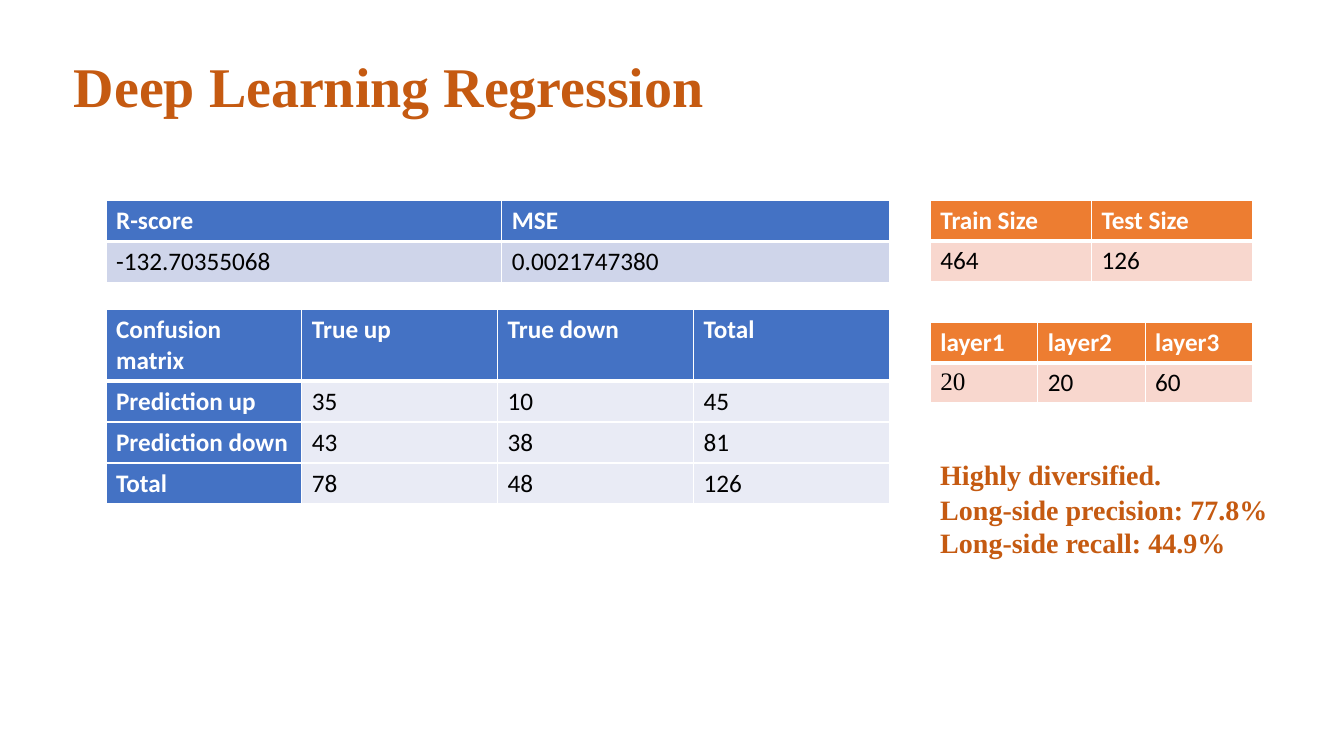
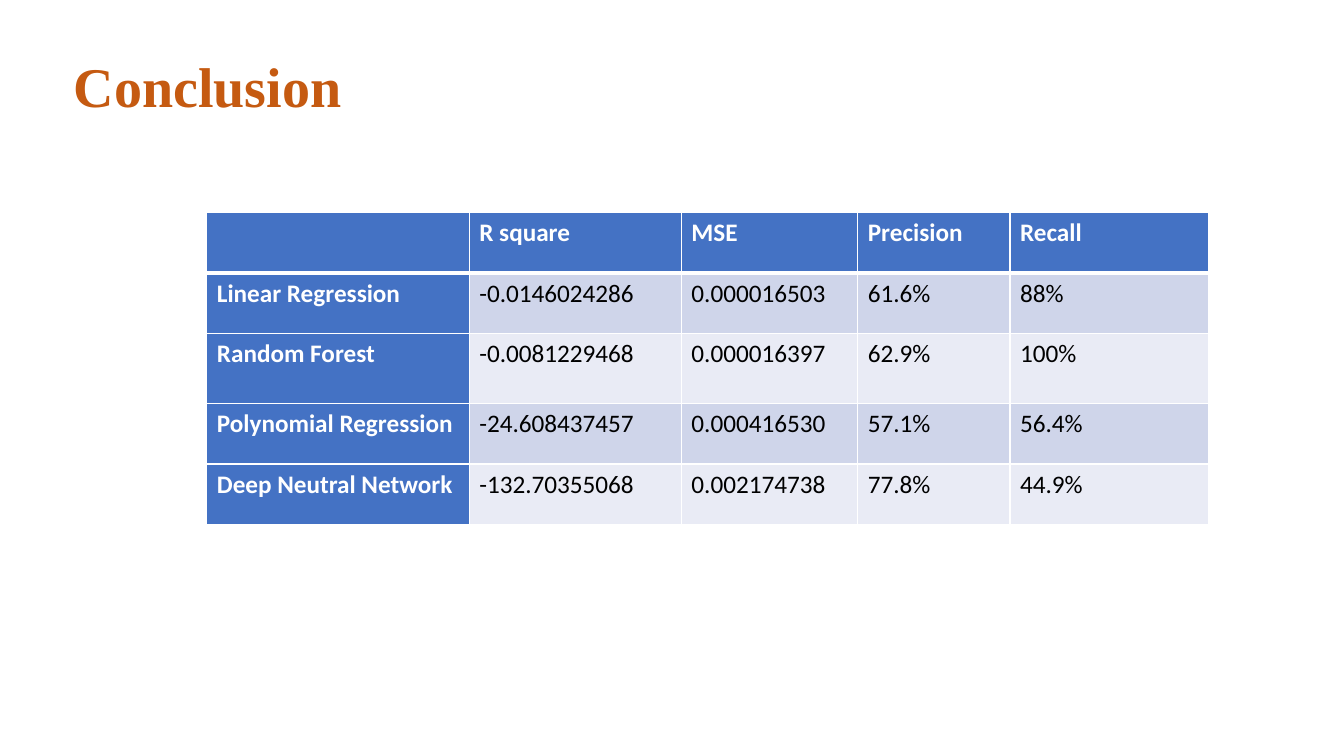
from itertools import cycle

from lxml.etree import SubElement
from pptx import Presentation
from pptx.dml.color import RGBColor
from pptx.enum.text import MSO_ANCHOR, MSO_AUTO_SIZE
from pptx.oxml.ns import qn
from pptx.util import Pt

PX = 9525  # EMU per pixel, 96 pixels to the inch

BLUE, ORANGE, RUST = "4472C4", "ED7D31", "C55A11"
BLUE_BAND, BLUE_PALE, ORANGE_BAND = "CFD5EA", "E9EBF5", "F8D7CE"
WHITE, BLACK = "FFFFFF", "000000"
SANS, SERIF = "Calibri", "Times New Roman"


def px(length):
    return round(length * PX)


def rgb(value):
    return RGBColor.from_string(value)


class SlideBuilder:
    """Holds the shared style and the slide being filled."""

    title_format = {"name": SERIF, "size": Pt(40), "bold": True}
    note_format = {"name": SERIF, "size": Pt(20), "bold": True}
    header_format = {"name": SANS, "size": Pt(18), "bold": True}
    value_format = {"name": SANS, "size": Pt(18), "bold": False}

    def __init__(self):
        self.deck = Presentation()
        self.deck.slide_width, self.deck.slide_height = px(1280), px(720)
        self.page = None

    def new_page(self, title):
        self.page = self.deck.slides.add_slide(self.deck.slide_layouts[6])
        self.text(61, 44, 1027, 74, [title], self.title_format)

    def add_span(self, para, text, formats, color):
        span = para.add_run()
        span.text = text
        for name, value in formats.items():
            setattr(span.font, name, value)
        span.font.color.rgb = rgb(color)

    def text(self, left, top, width, height, lines, formats):
        box = self.page.shapes.add_textbox(px(left), px(top), px(width), px(height))
        frame = box.text_frame
        frame.word_wrap = True
        frame.auto_size = MSO_AUTO_SIZE.SHAPE_TO_FIT_TEXT
        for index, line in enumerate(lines):
            para = frame.add_paragraph() if index else frame.paragraphs[0]
            self.add_span(para, line, formats, RUST)

    def borders(self, cell, top, bottom):
        properties = cell._tc.get_or_add_tcPr()
        for side, points in {"L": 1, "R": 1, "T": top, "B": bottom}.items():
            line = SubElement(properties, qn(f"a:ln{side}"), w=str(Pt(points)))
            fill = SubElement(line, qn("a:solidFill"))
            SubElement(fill, qn("a:srgbClr"), val=WHITE)

    def table(self, left, top, columns, heights, rows, head, bands,
              row_heads=False, fonts=None):
        """Header row, banded body; fonts maps (row, column) to a font name."""
        fonts = fonts or {}
        frame = self.page.shapes.add_table(
            len(rows), len(columns), px(left), px(top),
            px(sum(columns)), px(sum(heights)))
        grid = frame.table
        grid.horz_banding = False
        for column, width in zip(grid.columns, columns):
            column.width = px(width)
        band = cycle(bands)
        for r, (values, height) in enumerate(zip(rows, heights)):
            grid.rows[r].height = px(height)
            body_fill = next(band) if r else head
            for c, value in enumerate(values):
                is_head = r == 0 or (row_heads and c == 0)
                cell = grid.cell(r, c)
                cell.vertical_anchor = MSO_ANCHOR.TOP
                # The rule under the header row is heavier
                self.borders(cell, 3 if r == 1 else 1, 3 if r == 0 else 1)
                cell.fill.solid()
                cell.fill.fore_color.rgb = rgb(head if is_head else body_fill)
                if value:
                    formats = dict(self.header_format if is_head else self.value_format)
                    formats["name"] = fonts.get((r, c), SANS)
                    self.add_span(cell.text_frame.paragraphs[0], value, formats,
                                  WHITE if is_head else BLACK)


def regression_page(builder):
    builder.new_page("Deep Learning Regression")

    # Scores and confusion matrix
    builder.table(101, 191, [377, 369], [39] * 2, [
        ["R-score", "MSE"],
        ["-132.70355068", "0.0021747380"],
    ], BLUE, [BLUE_BAND])
    builder.table(101, 295, [746 / 4] * 4, [68] + [39] * 3, [
        ["Confusion matrix", "True up", "True down", "Total"],
        ["Prediction up", "35", "10", "45"],
        ["Prediction down", "43", "38", "81"],
        ["Total", "78", "48", "126"],
    ], BLUE, [BLUE_PALE], row_heads=True)

    # Sample sizes and network layers
    builder.table(886, 191, [307 / 2] * 2, [38] * 2, [
        ["Train Size", "Test Size"],
        ["464", "126"],
    ], ORANGE, [ORANGE_BAND])
    builder.table(886, 307, [307 / 3] * 3, [38] * 2, [
        ["layer1", "layer2", "layer3"],
        ["20", "20", "60"],
    ], ORANGE, [ORANGE_BAND], fonts={(1, 0): SERIF})

    # Findings
    builder.text(886, 431, 394, 42, ["Highly diversified."], builder.note_format)
    builder.text(886, 464, 394, 74, [
        "Long-side precision: 77.8%",
        "Long-side recall: 44.9%",
    ], builder.note_format)


def conclusion_page(builder):
    builder.new_page("Conclusion")

    # Model comparison
    builder.table(197, 202, [250, 202, 168, 145, 189], [58, 58, 66, 58, 58], [
        ["", "R square", "MSE", "Precision", "Recall"],
        ["Linear Regression", "-0.0146024286", "0.000016503", "61.6%", "88%"],
        ["Random Forest", "-0.0081229468", "0.000016397", "62.9%", "100%"],
        ["Polynomial Regression", "-24.608437457", "0.000416530", "57.1%", "56.4%"],
        ["Deep Neutral Network", "-132.70355068", "0.002174738", "77.8%", "44.9%"],
    ], BLUE, [BLUE_BAND, BLUE_PALE], row_heads=True)


def main():
    builder = SlideBuilder()
    regression_page(builder)
    conclusion_page(builder)
    builder.deck.save("out.pptx")


if __name__ == "__main__":
    main()
